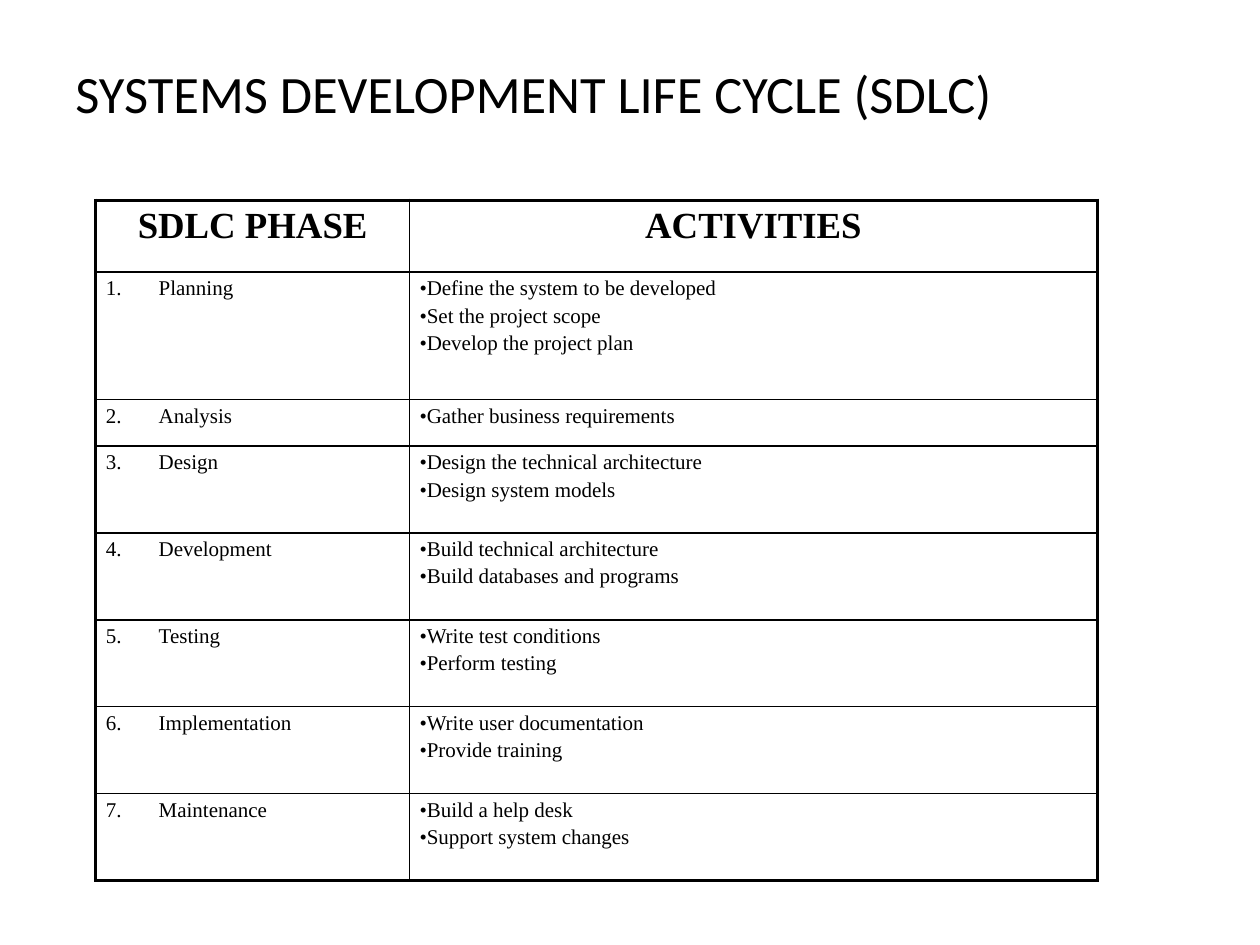
from lxml.etree import SubElement
from pptx import Presentation
from pptx.dml.color import RGBColor
from pptx.enum.text import MSO_ANCHOR, PP_ALIGN
from pptx.oxml.ns import qn
from pptx.util import Inches, Pt

BLACK = RGBColor(0, 0, 0)
TITLE_FONT = "Calibri"
TABLE_FONT = "Times New Roman"
OUTER, INNER = 2.25, 1

HEADERS = ["SDLC PHASE", "ACTIVITIES"]
PHASES = [
    ("Planning", ["Define the system to be developed", "Set the project scope",
                  "Develop the project plan"]),
    ("Analysis", ["Gather business requirements"]),
    ("Design", ["Design the technical architecture", "Design system models"]),
    ("Development", ["Build technical architecture", "Build databases and programs"]),
    ("Testing", ["Write test conditions", "Perform testing"]),
    ("Implementation", ["Write user documentation", "Provide training"]),
    ("Maintenance", ["Build a help desk", "Support system changes"]),
]
COLUMN_WIDTHS = [2.49, 5.46]
HEADER_HEIGHT = 0.57
HEIGHT_BY_ACTIVITIES = {1: 0.37, 2: 0.69, 3: 1.01}


def format_runs(p, font, size, bold=False):
    for r in p.runs:
        r.font.name = font
        r.font.size = Pt(size)
        r.font.bold = bold
        r.font.color.rgb = BLACK


def add_title(s, text):
    tf = s.shapes.add_textbox(Inches(0.5), Inches(0.3), Inches(9), Inches(0.94)).text_frame
    tf.word_wrap = True
    tf.vertical_anchor = MSO_ANCHOR.MIDDLE
    tf.text = text
    p = tf.paragraphs[0]
    p.line_spacing = 0.9
    format_runs(p, TITLE_FONT, 30)


def set_borders(cell, **widths):
    """Draw black borders; widths maps L, R, T and B to points."""
    tc_pr = cell._tc.get_or_add_tcPr()
    for side, width in widths.items():
        ln = SubElement(tc_pr, qn(f"a:ln{side}"), w=str(Pt(width)))
        fill = SubElement(ln, qn("a:solidFill"))
        SubElement(fill, qn("a:srgbClr"), val=str(BLACK))


def style_cell(cell, row, col, last_row, last_col):
    set_borders(
        cell,
        L=OUTER if col == 0 else INNER,
        R=OUTER if col == last_col else INNER,
        T=OUTER if row == 0 else INNER,
        B=OUTER if row == last_row else INNER,
    )
    cell.fill.background()
    cell.margin_left = cell.margin_right = Inches(0.08)
    cell.margin_top = cell.margin_bottom = Inches(0.04)


def fill_header(cell, text):
    cell.text = text
    p = cell.text_frame.paragraphs[0]
    p.alignment = PP_ALIGN.CENTER
    format_runs(p, TABLE_FONT, 21, bold=True)


def add_bullet(p, kind, **attributes):
    p_pr = p._p.get_or_add_pPr()
    SubElement(p_pr, qn("a:buFont"), typeface=TABLE_FONT)
    SubElement(p_pr, qn(kind), **attributes)
    return p_pr


def fill_phase(cell, number, name):
    cell.text = name
    p = cell.text_frame.paragraphs[0]
    p_pr = add_bullet(p, "a:buAutoNum", type="arabicPeriod", startAt=str(number))
    p_pr.set("marL", str(Inches(0.42)))
    p_pr.set("indent", str(-Inches(0.42)))
    format_runs(p, TABLE_FONT, 12)


def fill_activities(cell, activities):
    tf = cell.text_frame
    tf.text = "\n".join(activities)
    for i, p in enumerate(tf.paragraphs):
        add_bullet(p, "a:buChar", char="•")
        if i:
            p.space_before = Pt(2.3)
        format_runs(p, TABLE_FONT, 12)


def add_phase_table(s):
    heights = [HEADER_HEIGHT] + [HEIGHT_BY_ACTIVITIES[len(a)] for _, a in PHASES]
    table = s.shapes.add_table(
        len(heights), len(COLUMN_WIDTHS), Inches(0.76), Inches(1.59),
        Inches(sum(COLUMN_WIDTHS)), Inches(sum(heights))).table
    table.first_row = table.horz_banding = False
    for column, width in zip(table.columns, COLUMN_WIDTHS):
        column.width = Inches(width)
    for i, (row, height) in enumerate(zip(table.rows, heights)):
        row.height = Inches(height)
        for j, cell in enumerate(row.cells):
            style_cell(cell, i, j, len(heights) - 1, len(COLUMN_WIDTHS) - 1)
    for j, text in enumerate(HEADERS):
        fill_header(table.cell(0, j), text)
    for i, (name, activities) in enumerate(PHASES, start=1):
        fill_phase(table.cell(i, 0), i, name)
        fill_activities(table.cell(i, 1), activities)


def main():
    prs = Presentation()
    prs.slide_width, prs.slide_height = Inches(10), Inches(7.5)
    s = prs.slides.add_slide(prs.slide_layouts[6])
    add_title(s, "SYSTEMS DEVELOPMENT LIFE CYCLE (SDLC)")
    add_phase_table(s)
    prs.save("out.pptx")


if __name__ == "__main__":
    main()
